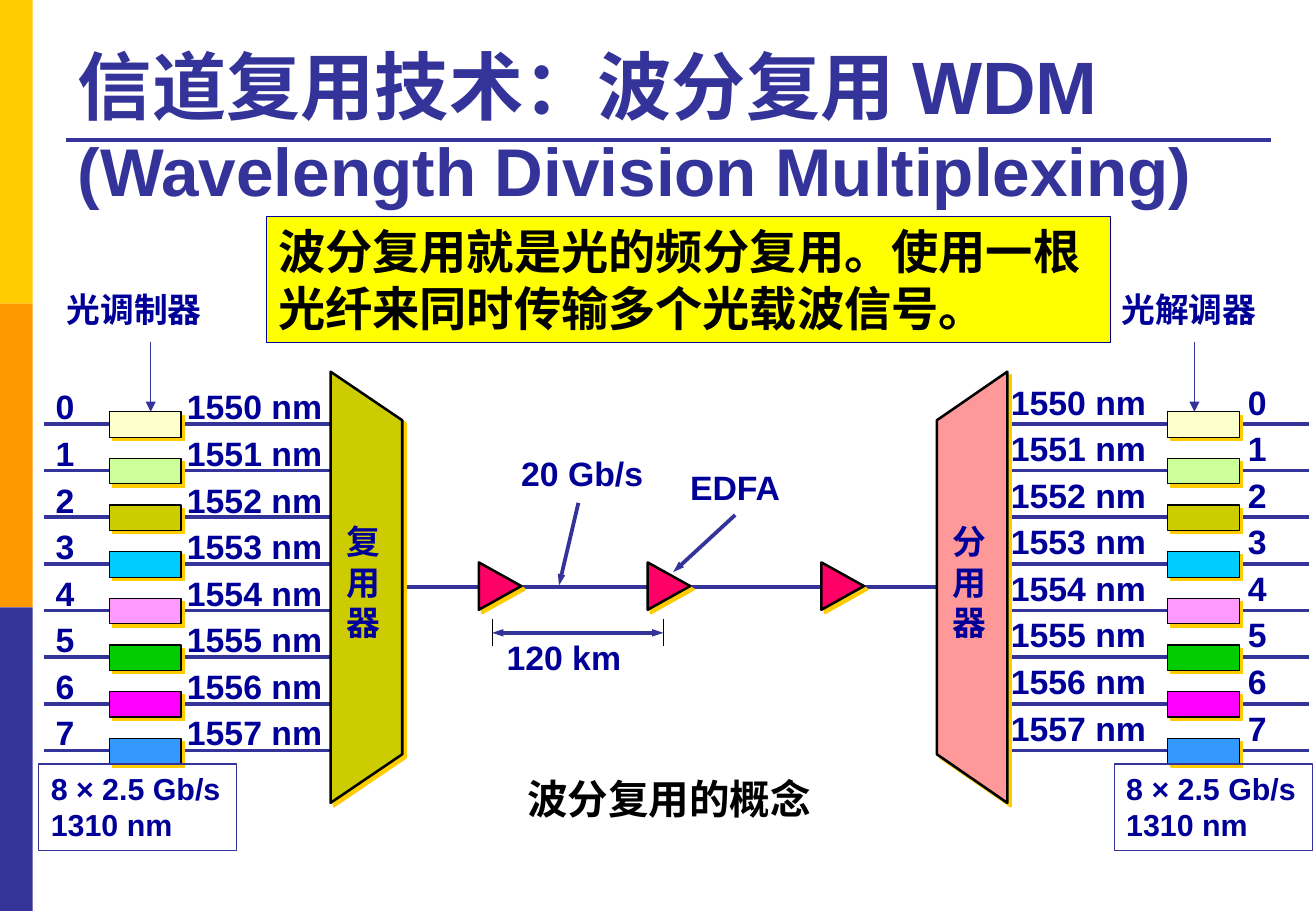
from lxml import etree
from pptx import Presentation
from pptx.dml.color import RGBColor
from pptx.enum.shapes import MSO_CONNECTOR, MSO_SHAPE
from pptx.enum.text import MSO_ANCHOR, MSO_AUTO_SIZE, PP_ALIGN
from pptx.oxml.ns import qn
from pptx.util import Inches, Pt

RECTANGLE = MSO_SHAPE.RECTANGLE
TRIANGLE = MSO_SHAPE.ISOSCELES_TRIANGLE
STRAIGHT = MSO_CONNECTOR.STRAIGHT
LEFT, CENTER = PP_ALIGN.LEFT, PP_ALIGN.CENTER
TOP, BOTTOM = MSO_ANCHOR.TOP, MSO_ANCHOR.BOTTOM
NO_AUTOFIT = MSO_AUTO_SIZE.NONE

COLORS = {
    "gold": "FFCC00", "orange": "FF9900", "indigo": "333399",
    "navy": "000099", "black": "000000", "yellow": "FFFF00",
    "amplifier": "FF0066", "multiplexer": "CCCC00", "demultiplexer": "FF9999",
}
CHANNEL_COLORS = ["FFFFCC", "CCFF99", "CCCC00", "00CCFF",
                  "FF99FF", "00CC00", "FF00FF", "3399FF"]
CHANNEL_STEP = 0.384
FIBER_Y = 4.83


def rgb(color):
    return RGBColor.from_string(COLORS.get(color, color))


def set_font(paragraph, size, color):
    font = paragraph.font
    font.name = "Arial"
    font.bold = True
    font.color.rgb = rgb(color)
    if size:
        font.size = Pt(size)


def paint(shape, fill, line=None, width=0.75, shadow=False):
    shape.shadow.inherit = False
    if fill:
        shape.fill.solid()
        shape.fill.fore_color.rgb = rgb(fill)
    else:
        shape.fill.background()
    if line:
        shape.line.color.rgb = rgb(line)
        shape.line.width = Pt(width)
    else:
        shape.line.fill.background()
    if shadow:
        effects = shape.element.spPr.find(qn("a:effectLst"))
        cast = etree.SubElement(effects, qn("a:outerShdw"), dist=str(Pt(2.8)),
                                dir="2700000", algn="ctr", rotWithShape="0")
        etree.SubElement(cast, qn("a:srgbClr"), val=COLORS["gold"])


def add_block(slide, kind, left, top, width, height, fill, line=None,
              line_width=0.75, shadow=False):
    block = slide.shapes.add_shape(kind, Inches(left), Inches(top),
                                   Inches(width), Inches(height))
    paint(block, fill, line, line_width, shadow)
    return block


def write_lines(shape, lines, size, color="navy", align=LEFT, wrap=True,
                tab=None, spacing=None):
    frame = shape.text_frame
    frame.word_wrap = wrap
    frame.auto_size = NO_AUTOFIT
    frame.vertical_anchor = TOP
    frame.text = "\n".join(lines)
    for paragraph in frame.paragraphs:
        paragraph.alignment = align
        if spacing:
            paragraph.line_spacing = Pt(spacing)
        if tab:
            stops = etree.SubElement(paragraph._p.get_or_add_pPr(), qn("a:tabLst"))
            etree.SubElement(stops, qn("a:tab"), pos=str(Inches(tab)), algn="l")
        set_font(paragraph, size, color)


def add_label(slide, left, top, width, height, lines, size=20, **options):
    label = slide.shapes.add_textbox(Inches(left), Inches(top),
                                     Inches(width), Inches(height))
    write_lines(label, lines, size, **options)


def add_line(slide, x1, y1, x2, y2, color="indigo", width=2.25, arrows=()):
    line = slide.shapes.add_connector(STRAIGHT, Inches(x1), Inches(y1),
                                      Inches(x2), Inches(y2))
    line.line.color.rgb = rgb(color)
    line.line.width = Pt(width)
    properties = line.element.spPr
    outline = properties.find(qn("a:ln"))
    for end in arrows:
        etree.SubElement(outline, qn(f"a:{end}"), type="triangle",
                         w="sm" if width > 1 else "med", len="med")
    etree.SubElement(properties, qn("a:effectLst"))


def add_trapezoid(slide, wide_x, narrow_x, fill):
    corners = [(wide_x, 6.61), (narrow_x, 6.21), (narrow_x, 3.46), (wide_x, 3.06)]
    points = [(Inches(x), Inches(y)) for x, y in corners]
    builder = slide.shapes.build_freeform(*points[0], scale=1.0)
    builder.add_line_segments(points[1:], close=True)
    paint(builder.convert_to_shape(), fill, "black", 1.5, shadow=True)


def add_title(slide):
    title = slide.shapes.title
    title.left, title.top = Inches(0.54), Inches(0.21)
    title.width, title.height = Inches(9.91), Inches(1.57)
    frame = title.text_frame
    frame.auto_size = NO_AUTOFIT
    frame.vertical_anchor = BOTTOM
    paragraph = frame.paragraphs[0]
    paragraph.alignment = LEFT
    set_font(paragraph, None, "indigo")
    chinese = paragraph.add_run()
    chinese.text = "信道复用技术：波分复用 WDM"
    chinese.font.size = Pt(44)
    paragraph.add_line_break()
    english = paragraph.add_run()
    english.text = "(Wavelength Division Multiplexing)"
    english.font.size = Pt(40)


def add_channels(slide, line_left, box_left):
    for index, color in enumerate(CHANNEL_COLORS):
        offset = index * CHANNEL_STEP
        add_line(slide, line_left, 3.49 + offset, line_left + 2.48, 3.49 + offset)
        add_block(slide, RECTANGLE, box_left, 3.39 + offset, 0.59, 0.21,
                  color, "black", shadow=True)


def add_rate_box(slide, left):
    box = add_block(slide, RECTANGLE, left, 6.29, 1.63, 0.71, None, "indigo")
    write_lines(box, ["8 × 2.5 Gb/s", "1310 nm"], 18)


def add_terminal_caption(slide, left, text, arrow_x):
    add_label(slide, left, 2.33, 1.33, 0.44, [text], wrap=False)
    add_line(slide, arrow_x, 2.82, arrow_x, 3.39, width=0.75, arrows=["tailEnd"])


def add_fiber(slide):
    add_line(slide, 2.9, FIBER_Y, 8.23, FIBER_Y)
    for left in (3.92, 5.31, 6.74):
        amplifier = add_block(slide, TRIANGLE, left, 4.65, 0.39, 0.35,
                              "amplifier", "black", 1.5, shadow=True)
        amplifier.rotation = 90
    add_label(slide, 4.19, 3.68, 1.21, 0.44, ["20 Gb/s"], wrap=False)
    add_line(slide, 4.76, 4.14, 4.6, 4.82, arrows=["tailEnd"])
    add_label(slide, 5.58, 3.79, 0.95, 0.44, ["EDFA"], wrap=False)
    add_line(slide, 6.05, 4.24, 5.54, 4.71, arrows=["tailEnd"])
    for x in (4.05, 5.46):
        add_line(slide, x, 5.1, x, 5.32, "black", 0.75)
    add_line(slide, 4.05, 5.21, 5.46, 5.21, arrows=["headEnd", "tailEnd"])
    add_label(slide, 4.07, 5.19, 1.15, 0.44, ["120 km"], wrap=False)


def main():
    presentation = Presentation()
    presentation.slide_width = Inches(10.83)
    presentation.slide_height = Inches(7.5)
    slide = presentation.slides.add_slide(presentation.slide_layouts[5])

    for index, color in enumerate(("gold", "orange", "indigo")):
        add_block(slide, RECTANGLE, 0, index * 2.5, 0.27, 2.5, color)
    add_line(slide, 0.54, 1.15, 10.46, 1.15)
    add_title(slide)
    definition = add_block(slide, RECTANGLE, 2.19, 1.78, 6.95, 1.04, "yellow", "navy")
    write_lines(definition, ["波分复用就是光的频分复用。使用一根光纤来同时传输多个光载波信号。"],
                28, color="black")

    channels = range(len(CHANNEL_COLORS))
    add_label(slide, 0.36, 3.08, 2.71, 3.2,
              [f"{n}\t{1550 + n} nm" for n in channels], tab=1.08, spacing=27.6)
    add_label(slide, 8.22, 3.04, 2.48, 3.2,
              [f"{1550 + n} nm\t{n}" for n in channels], tab=1.95, spacing=27.6)
    add_channels(slide, 0.36, 0.9)
    add_channels(slide, 8.29, 9.61)
    add_fiber(slide)

    add_trapezoid(slide, 2.72, 3.31, "multiplexer")
    add_trapezoid(slide, 8.29, 7.71, "demultiplexer")
    add_label(slide, 2.75, 4.24, 0.48, 1.11, list("复用器"), wrap=False)
    add_label(slide, 7.74, 4.24, 0.48, 1.11, list("分用器"), wrap=False)

    add_terminal_caption(slide, 0.45, "光调制器", 1.24)
    add_terminal_caption(slide, 9.13, "光解调器", 9.83)
    add_rate_box(slide, 0.32)
    add_rate_box(slide, 9.17)
    add_label(slide, 3.31, 6.32, 4.39, 0.5, ["波分复用的概念"], 24,
              color="black", align=CENTER)
    presentation.save("out.pptx")


if __name__ == "__main__":
    main()
